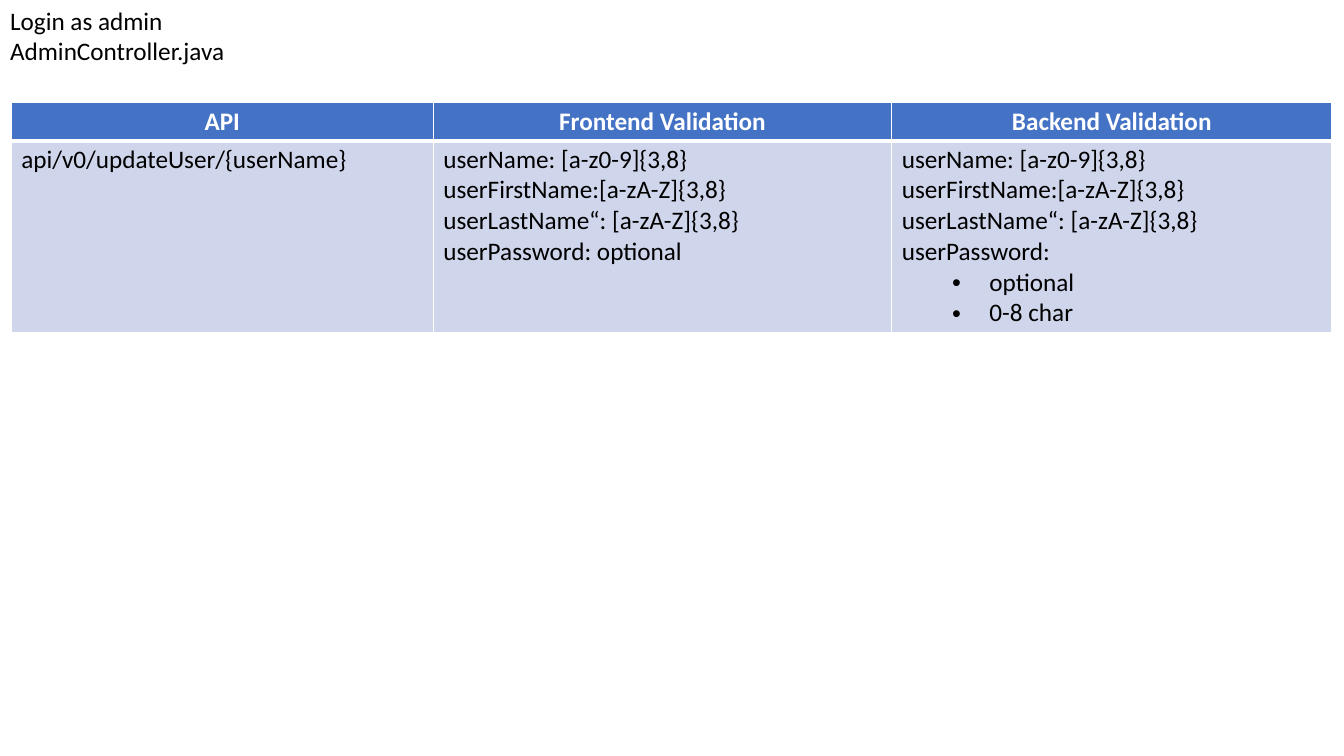
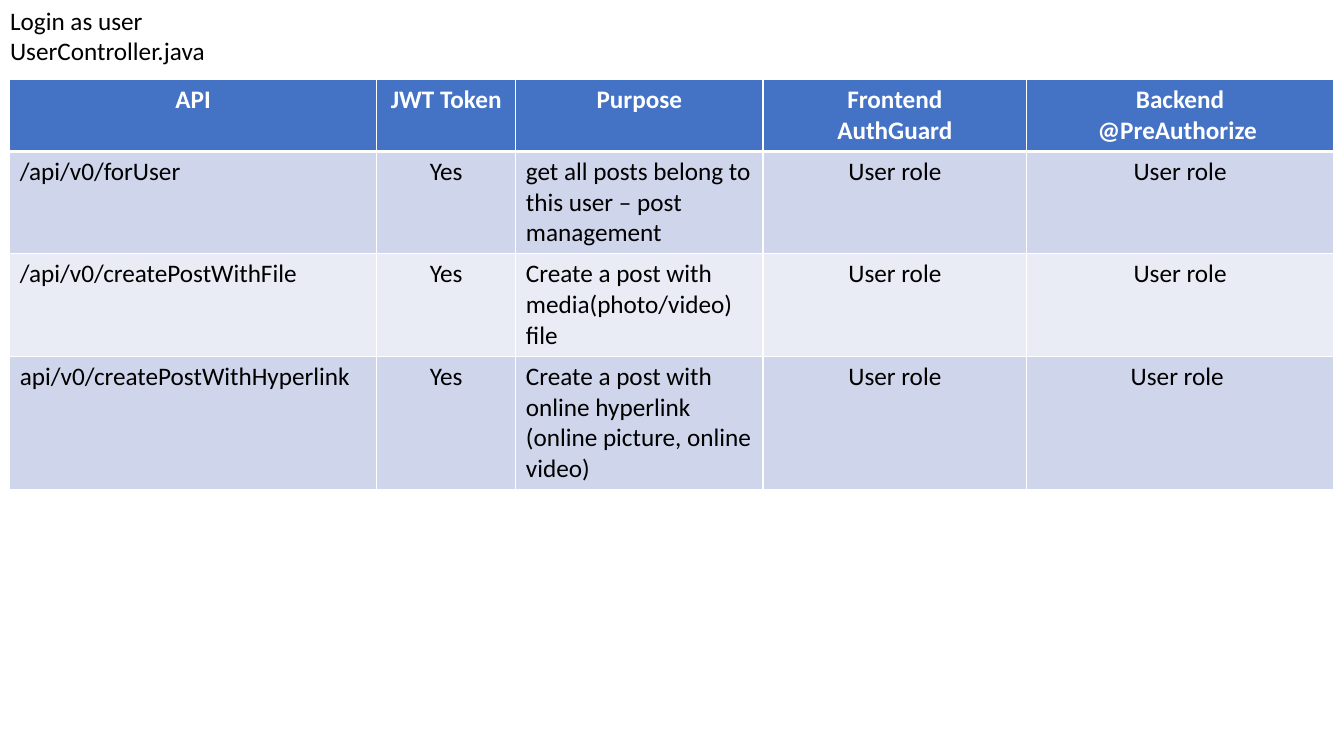
import pptx
import pptx.util
import pptx.dml.color
import pptx.enum.text
import pptx.oxml.ns
from lxml import etree

Pt = pptx.util.Pt
RGB = pptx.dml.color.RGBColor
ALIGN = pptx.enum.text.PP_ALIGN
qn = pptx.oxml.ns.qn

WHITE = RGB(0xFF, 0xFF, 0xFF)
BLACK = RGB(0x00, 0x00, 0x00)
BLUE = RGB(0x44, 0x72, 0xC4)
BANDS = [RGB(0xE9, 0xEB, 0xF5), RGB(0xCF, 0xD5, 0xEA)]
BULLET = "\u2022"


def assign(item, values):
    for name, value in values.items():
        setattr(item, name, value)


class Deck:
    font = {"name": "Calibri", "size": Pt(18)}

    def __init__(self):
        self.show = pptx.Presentation()
        assign(self.show, {"slide_width": Pt(960), "slide_height": Pt(540)})

    def page(self, title):
        self.slide = self.show.slides.add_slide(self.show.slide_layouts[5])
        head = self.slide.shapes.title
        assign(head, {"left": 0, "top": 0, "width": Pt(480), "height": Pt(51)})
        frame = head.text_frame
        frame.text = title
        assign(frame, {
            "word_wrap": True,
            "auto_size": pptx.enum.text.MSO_AUTO_SIZE.NONE,
            "vertical_anchor": pptx.enum.text.MSO_ANCHOR.TOP,
        })
        self.style(frame, BLACK, False, ALIGN.LEFT)

    def style(self, frame, color, bold, align):
        for para in frame.paragraphs:
            para.alignment = align
            for run in para.runs:
                assign(run.font, {**self.font, "bold": bold})
                run.font.color.rgb = color
                if run.text.startswith(BULLET):
                    run.text = run.text[1:]
                    self.bullet(para)

    def bullet(self, para):
        para.level = 1
        props = para._p.get_or_add_pPr()
        props.set("marL", str(Pt(58.5)))
        props.set("indent", str(Pt(-22.5)))
        etree.SubElement(props, qn("a:buFont")).set("typeface", "Arial")
        etree.SubElement(props, qn("a:buChar")).set("char", BULLET)

    def border(self, cell, row):
        props = cell._tc.get_or_add_tcPr()
        wide = {0: "lnB", 1: "lnT"}.get(row)
        for side in ("lnL", "lnR", "lnT", "lnB"):
            line = etree.SubElement(props, qn("a:" + side))
            line.set("w", str(Pt(3 if side == wide else 1)))
            fill = etree.SubElement(line, qn("a:solidFill"))
            etree.SubElement(fill, qn("a:srgbClr")).set("val", str(WHITE))

    def table(self, left, top, widths, heights, rows, center=(), pad=3.6):
        grid = self.slide.shapes.add_table(
            len(rows), len(widths), Pt(left), Pt(top),
            Pt(sum(widths)), Pt(sum(heights))).table
        for col, width in zip(grid.columns, widths):
            col.width = Pt(width)
        for row, height in zip(grid.rows, heights):
            row.height = Pt(height)
        for r, texts in enumerate(rows):
            for c, text in enumerate(texts):
                cell = grid.cell(r, c)
                cell.text = text
                assign(cell, {"margin_top": Pt(pad), "margin_bottom": Pt(pad)})
                self.border(cell, r)
                cell.fill.solid()
                cell.fill.fore_color.rgb = BANDS[r % 2] if r else BLUE
                mid = r == 0 or c in center
                self.style(cell.text_frame, BLACK if r else WHITE, r == 0,
                           ALIGN.CENTER if mid else ALIGN.LEFT)


deck = Deck()

deck.page("Login as admin\nAdminController.java")
names = ("userName:\u00a0[a-z0-9]{3,8}\nuserFirstName:[a-zA-Z]{3,8}\n"
         "userLastName\u201c: [a-zA-Z]{3,8}\nuserPassword:\u00a0")
deck.table(8, 73.5, [301.5, 327.5, 314.5], [22.5, 121.5], [
    ["API", "Frontend Validation", "Backend Validation"],
    ["api/v0/updateUser/{userName}", names + "optional",
     names + "\n\u2022 optional \n\u2022 0-8 char"],
], pad=2.5)

deck.page("Login as user\nUserController.java")
role = "User role"
deck.table(7, 57, [262, 99.5, 176.5, 188.5, 219], [29.5] * 4, [
    ["API", "JWT Token", "Purpose", "Frontend\nAuthGuard",
     "Backend\n@PreAuthorize "],
    ["/api/v0/forUser", "Yes",
     "get all posts belong to this user \u2013 post management", role, role],
    ["/api/v0/createPostWithFile", "Yes",
     "Create a post with media(photo/video) file", role, role],
    ["api/v0/createPostWithHyperlink", "Yes",
     "Create a post with online hyperlink (online picture, online video)",
     role, role + " "],
], center=(1, 3, 4))

deck.show.save("out.pptx")
